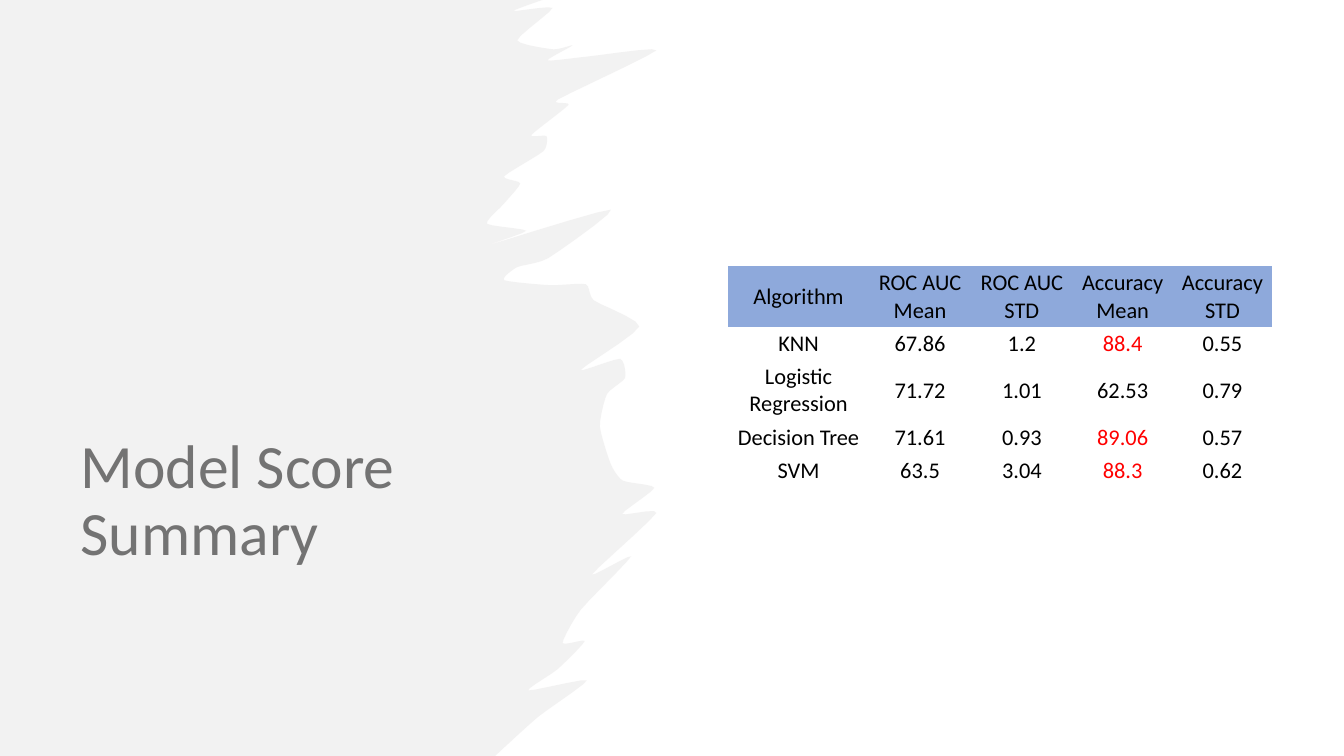
from dataclasses import dataclass

from pptx import Presentation
from pptx.dml.color import RGBColor as RGB
from pptx.enum.text import MSO_ANCHOR as Anchor, PP_ALIGN as Align
from pptx.oxml.ns import qn
from pptx.oxml.xmlchemy import OxmlElement as Node
from pptx.util import Inches, Pt


@dataclass(frozen=True)
class Theme:
    """Colours, font and type sizes of the slide."""
    font: str = "Calibri"
    ink: str = "000000"
    high: str = "FF0000"
    head: str = "8EA9DB"
    brush: str = "E7E6E6"
    alpha: int = 50
    title: int = 44
    body: int = 16


THEME = Theme()
LIMIT = 80
WIDTHS = (1.4, 1.01, 1.01, 0.99, 0.99)
HEIGHTS = (0.6, 0.33, 0.6, 0.33, 0.33)
SCORES = (
    ("Algorithm", "ROC AUC Mean", "ROC AUC STD", "Accuracy Mean", "Accuracy STD"),
    ("KNN", "67.86", "1.2", "88.4", "0.55"),
    ("Logistic Regression", "71.72", "1.01", "62.53", "0.79"),
    ("Decision Tree", "71.61", "0.93", "89.06", "0.57"),
    ("SVM", "63.5", "3.04", "88.3", "0.62"),
)
EDGE = (
    (4.91, 7.5), (5.34, 7.11), (5.82, 6.75), (5.24, 6.85), (5.53, 6.64),
    (5.8, 6.36), (5.58, 6.38), (5.76, 6.05), (6.26, 5.52), (5.87, 5.7),
    (6.51, 5.09), (6.17, 5.1), (6.49, 4.84), (6.18, 4.77), (6.06, 4.61),
    (5.95, 4.23), (6.02, 3.91), (6.2, 3.75), (6.15, 3.56), (5.76, 3.67),
    (6.34, 3.24), (5.89, 2.98), (5.81, 2.82), (5.46, 2.83), (5, 2.78),
    (5.13, 2.65), (5.44, 2.56), (6.06, 2.08), (4.85, 2.43), (5.22, 2.29),
    (4.83, 2.22), (4.99, 2.03), (5.16, 1.82), (5, 1.75), (5.39, 1.5),
    (5.42, 1.35), (5.27, 1.34), (5.64, 1.04), (5.53, 0.99), (6.51, 0.5),
    (5.84, 0.56), (5.43, 0.6), (5.68, 0.45), (5.49, 0.49), (5.13, 0.4),
    (5.48, 0.08), (5.09, 0.11), (5.38, 0),
)


def blend(a, b, c, d, t):
    """Ease from b to c, with gentle slopes set by a and d."""
    u = 1 - t
    near, far = b + (c - a) / 10, c - (d - b) / 10
    return b * u**3 + 3 * near * u * u * t + 3 * far * u * t * t + c * t**3


def smooth(points, steps=5):
    """Round the corners of an open line through the points."""
    ends = [points[0], *points, points[-1]]
    dots = [points[0]]
    for four in zip(ends, ends[1:], ends[2:], ends[3:]):
        dots += [tuple(blend(*axis, i / steps) for axis in zip(*four))
                 for i in range(1, steps + 1)]
    return dots


def add_brush(slide):
    """Draw the pale brushed panel with its ragged right edge."""
    edge = [(Inches(x), Inches(max(0, y))) for x, y in smooth(EDGE)]
    pen = slide.shapes.build_freeform(0, 0)
    pen.add_line_segments([(0, Inches(7.5)), *edge], close=True)
    brush = pen.convert_to_shape()
    brush.shadow.inherit = False
    brush.line.fill.background()
    brush.fill.solid()
    brush.fill.fore_color.rgb = RGB.from_string(THEME.brush)
    alpha = Node("a:alpha")
    alpha.set("val", str(THEME.alpha * 1000))
    next(brush.element.spPr.iter(qn("a:srgbClr"))).append(alpha)


def style(para, size, color):
    """Set the font of every run in a paragraph."""
    for run in para.runs:
        font = run.font
        font.name, font.size, font.bold = THEME.font, Pt(size), False
        font.color.rgb = RGB.from_string(color)


def set_title(slide, text):
    """Place and format the title."""
    title = slide.shapes.title
    title.left, title.top = Inches(0.7), Inches(0.7)
    title.width, title.height = Inches(5.05), Inches(4.99)
    frame = title.text_frame
    frame.text = text
    frame.vertical_anchor = Anchor.BOTTOM
    para = frame.paragraphs[0]
    para.alignment, para.line_spacing = Align.LEFT, 0.9
    style(para, THEME.title, THEME.ink)


def fill_cell(cell, text, head, color):
    """Write one centred table cell."""
    cell.margin_left = cell.margin_right = cell.margin_top = Inches(0.01)
    cell.margin_bottom = 0
    cell.vertical_anchor = Anchor.MIDDLE
    cell.text_frame.text = text
    para = cell.text_frame.paragraphs[0]
    para.alignment = Align.CENTER
    style(para, THEME.body, color)
    if head:
        cell.fill.solid()
        cell.fill.fore_color.rgb = RGB.from_string(THEME.head)
    else:
        cell.fill.background()


def add_scores(slide):
    """Add the score table, with high accuracy in red."""
    frame = slide.shapes.add_table(
        len(SCORES), len(WIDTHS), Inches(7.22), Inches(2.64),
        Inches(sum(WIDTHS)), Inches(sum(HEIGHTS)))
    plain = "{2D5ABB26-0587-4C30-8999-92F81FD0307C}"
    next(frame.element.iter(qn("a:tableStyleId"))).text = plain
    table = frame.table
    table.horz_banding = False
    for col, width in zip(table.columns, WIDTHS):
        col.width = Inches(width)
    for r, (row, height) in enumerate(zip(SCORES, HEIGHTS)):
        table.rows[r].height = Inches(height)
        for c, text in enumerate(row):
            high = r > 0 and c == 3 and float(text) > LIMIT
            color = THEME.high if high else THEME.ink
            fill_cell(table.cell(r, c), text, r == 0, color)


def main():
    """Build and save the slide."""
    deck = Presentation()
    deck.slide_width, deck.slide_height = Inches(13.33), Inches(7.5)
    slide = deck.slides.add_slide(deck.slide_layouts[5])
    add_brush(slide)
    set_title(slide, "Model Score Summary")
    add_scores(slide)
    deck.save("out.pptx")


main()
